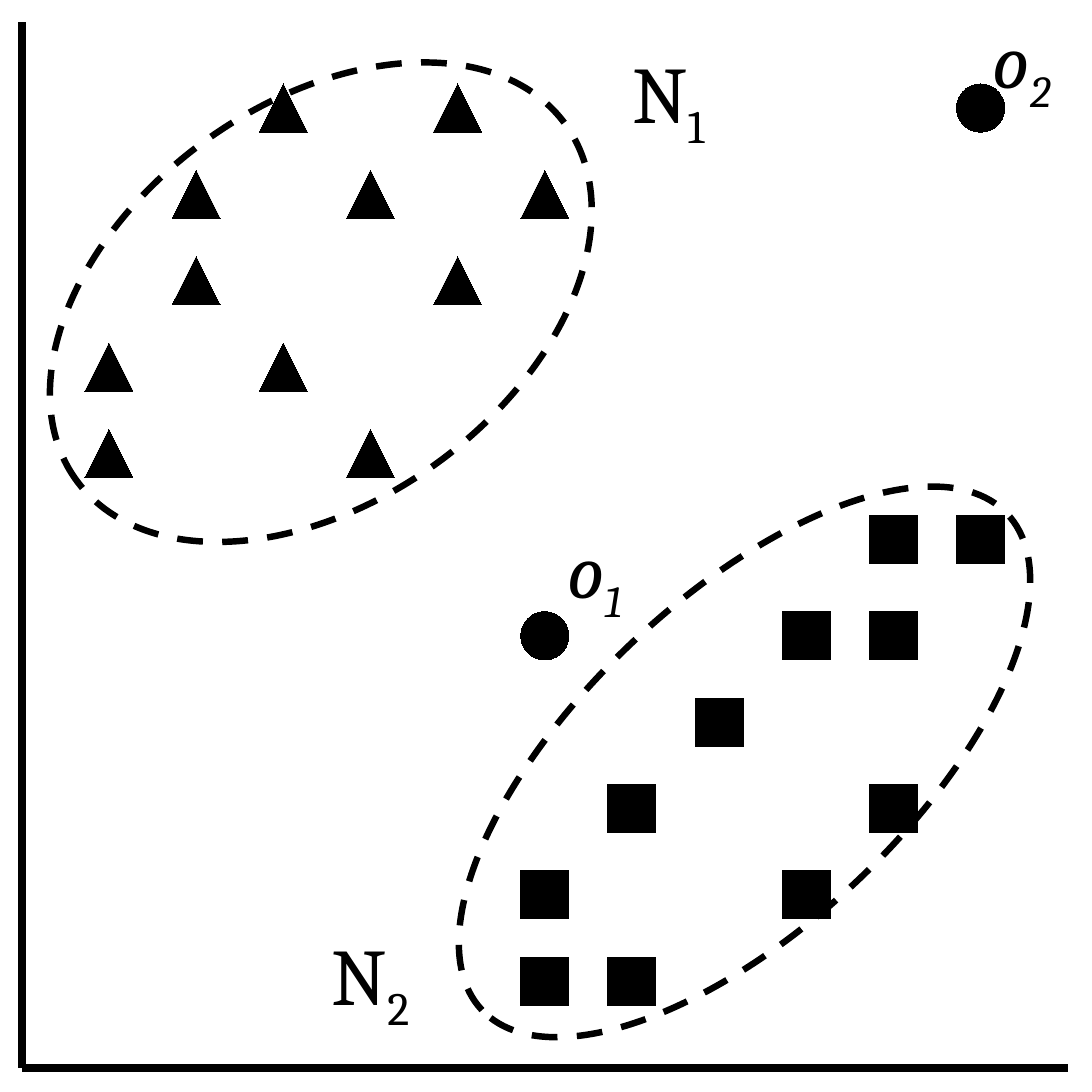
"""Draw a scatter of two dashed clusters and two outliers."""
from dataclasses import dataclass

import lxml.etree
import pptx
import pptx.chart.data
import pptx.dml.color
import pptx.enum.chart
import pptx.enum.dml
import pptx.enum.shapes
import pptx.enum.text
import pptx.oxml.ns
import pptx.util

Mark = pptx.enum.chart.XL_MARKER_STYLE
SIDE = pptx.util.Inches(4.73)
Slide = pptx.slide.Slide


@dataclass(frozen=True)
class Theme:
    ink: pptx.dml.color.RGBColor = pptx.dml.color.RGBColor(0, 0, 0)
    plain: str = "Calibri"
    serif: str = "Cambria"
    base: int = 18
    group: int = 25
    point: int = 24
    mark: int = 15
    axis: float = 2.5
    ring: float = 2
    drop: int = -25000


@dataclass(frozen=True)
class Box:
    left: float
    top: float
    width: float
    height: float

    def place(self) -> list[int]:
        return [round(SIDE * share / 100)
                for share in (self.left, self.top, self.width, self.height)]


@dataclass(frozen=True)
class Group:
    name: str
    mark: Mark
    dots: list[tuple[int, int]]


@dataclass(frozen=True)
class Ring:
    box: Box
    turn: float


@dataclass(frozen=True)
class Label:
    box: Box
    text: str
    sub: str
    size: int
    slant: bool = False


THEME = Theme()
FRAME = Box(0, 0, 99.8, 99.8)
INNER = {"x": 0.02, "y": 0.02, "w": 0.96, "h": 0.96}
GROUPS = [
    Group("Series 1", Mark.TRIANGLE,
          [(6, 91), (5, 82), (4, 91), (5, 100), (1, 64), (1, 73),
           (2, 91), (2, 82), (3, 73), (4, 64), (3, 100)]),
    Group("Series 2", Mark.SQUARE,
          [(10, 45), (10, 55), (11, 55), (9, 45), (6, 9), (6, 18),
           (7, 9), (7, 27), (9, 18), (8, 36), (10, 27)]),
    Group("Series 3", Mark.CIRCLE, [(11, 100), (6, 45)]),
]
RINGS = [
    Ring(Box(35.1, 54.76, 66.17, 30.02), 316.6),
    Ring(Box(1.69, 9.51, 55.39, 36.36), 323.9),
]
LABELS = [
    Label(Box(23.26, 83.72, 21.35, 10.99), "N", "2", THEME.group),
    Label(Box(54.33, 2.96, 13.74, 10.99), "N", "1", THEME.group),
    Label(Box(48.63, 46.72, 11.63, 10.78), "o", "1", THEME.point, True),
    Label(Box(87.74, 0, 11.63, 10.78), "o", "2", THEME.point, True),
]


def set_inner(chart: pptx.chart.chart.Chart) -> None:
    area = chart._chartSpace.chart.plotArea
    tag = pptx.oxml.ns.qn
    for old in area.findall(tag("c:layout")):
        area.remove(old)
    layout = lxml.etree.Element(tag("c:layout"))
    area.insert(0, layout)
    manual = lxml.etree.SubElement(layout, tag("c:manualLayout"))
    parts = {"layoutTarget": "inner", "xMode": "edge", "yMode": "edge", **INNER}
    for key, value in parts.items():
        lxml.etree.SubElement(manual, tag(f"c:{key}")).set("val", str(value))


def draw_chart(slide: Slide) -> None:
    data = pptx.chart.data.XyChartData()
    for group in GROUPS:
        series = data.add_series(group.name)
        for x, y in group.dots:
            series.add_data_point(x, y)
    kind = pptx.enum.chart.XL_CHART_TYPE.XY_SCATTER
    chart = slide.shapes.add_chart(kind, *FRAME.place(), data).chart
    chart.has_legend = False
    chart.has_title = False
    chart.font.name = THEME.plain
    chart.font.size = pptx.util.Pt(THEME.base)
    chart.font.color.rgb = THEME.ink
    chart.plots[0].vary_by_categories = False
    set_inner(chart)
    for axis, top, step in ((chart.category_axis, 12, 1),
                            (chart.value_axis, 109, 9)):
        axis.minimum_scale = 0
        axis.maximum_scale = top
        axis.major_unit = step
        axis.has_major_gridlines = False
        axis.major_tick_mark = pptx.enum.chart.XL_TICK_MARK.NONE
        axis.minor_tick_mark = pptx.enum.chart.XL_TICK_MARK.NONE
        axis.tick_label_position = pptx.enum.chart.XL_TICK_LABEL_POSITION.NONE
        axis.format.line.color.rgb = THEME.ink
        axis.format.line.width = pptx.util.Pt(THEME.axis)
    for series, group in zip(chart.plots[0].series, GROUPS):
        series.smooth = False
        series.format.line.fill.background()
        series.marker.style = group.mark
        series.marker.size = THEME.mark
        series.marker.format.fill.solid()
        series.marker.format.fill.fore_color.rgb = THEME.ink
        series.marker.format.line.fill.background()


def draw_ring(slide: Slide, ring: Ring) -> None:
    kind = pptx.enum.shapes.MSO_SHAPE.OVAL
    shape = slide.shapes.add_shape(kind, *ring.box.place())
    shape.rotation = ring.turn
    shape.shadow.inherit = False
    shape.fill.background()
    shape.line.color.rgb = THEME.ink
    shape.line.width = pptx.util.Pt(THEME.ring)
    shape.line.dash_style = pptx.enum.dml.MSO_LINE.DASH


def draw_label(slide: Slide, label: Label) -> None:
    frame = slide.shapes.add_textbox(*label.box.place()).text_frame
    frame.word_wrap = True
    frame.auto_size = pptx.enum.text.MSO_AUTO_SIZE.SHAPE_TO_FIT_TEXT
    line = frame.paragraphs[0]
    line.alignment = pptx.enum.text.PP_ALIGN.CENTER
    line.font.name = THEME.serif
    line.font.size = pptx.util.Pt(label.size)
    line.font.color.rgb = THEME.ink
    line.font.italic = label.slant
    line.add_run().text = label.text
    sub = line.add_run()
    sub.text = label.sub
    sub._r.get_or_add_rPr().set("baseline", str(THEME.drop))


def main() -> None:
    deck = pptx.Presentation()
    deck.slide_width = deck.slide_height = SIDE
    slide = deck.slides.add_slide(deck.slide_layouts[6])
    draw_chart(slide)
    for ring in RINGS:
        draw_ring(slide, ring)
    for label in LABELS:
        draw_label(slide, label)
    deck.save("out.pptx")


if __name__ == "__main__":
    main()
